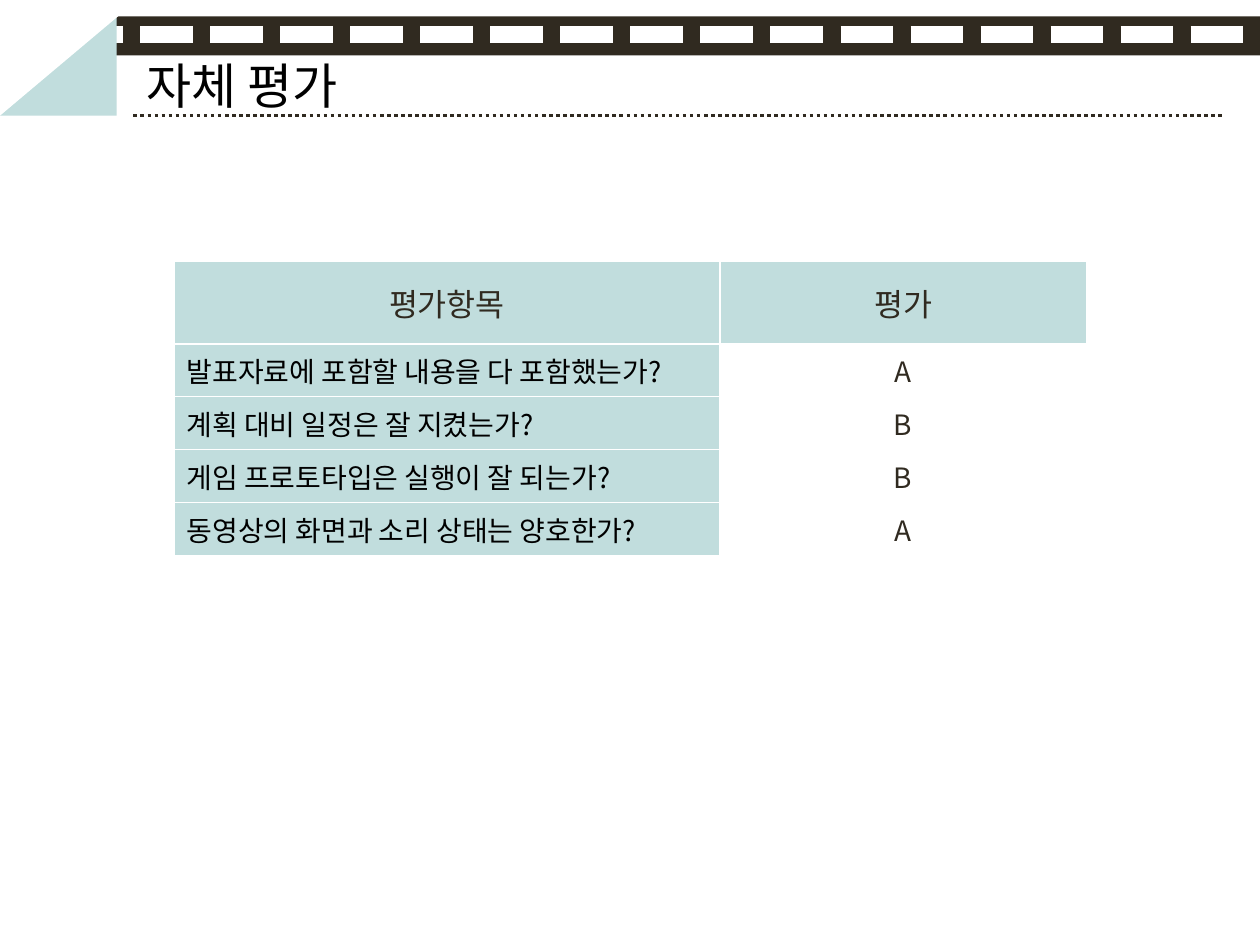
from lxml.etree import SubElement
from pptx import Presentation
from pptx.dml.color import RGBColor
from pptx.enum.dml import MSO_LINE
from pptx.enum.shapes import MSO_CONNECTOR, MSO_SHAPE
from pptx.enum.text import MSO_ANCHOR, PP_ALIGN
from pptx.oxml.ns import qn
from pptx.util import Cm, Pt

FONT = "Noto Sans CJK KR"
DARK, TEAL, WHITE, BLACK = "302A20", "C1DDDD", "FFFFFF", "000000"
RATINGS = [
    ("평가항목", "평가"),
    ("발표자료에 포함할 내용을 다 포함했는가?", "A"),
    ("계획 대비 일정은 잘 지켰는가?", "B"),
    ("게임 프로토타입은 실행이 잘 되는가?", "B"),
    ("동영상의 화면과 소리 상태는 양호한가?", "A"),
]


def paint(target, colour):
    target.solid()
    target.fore_color.rgb = RGBColor.from_string(colour)


def write(frame, text, size, colour, align):
    para = frame.paragraphs[0]
    para.alignment = align
    span = para.add_run()
    span.text = text
    span.font.size = Pt(size)
    span.font.name = FONT
    span.font.bold = False
    paint(span.font.fill, colour)
    SubElement(span.font._element, qn("a:ea"), typeface=FONT)


def add_title(page, text):
    box = page.shapes.title
    box.left, box.top, box.width, box.height = Cm(2.69), Cm(1.12), Cm(21.84), Cm(1.19)
    box.text_frame.vertical_anchor = MSO_ANCHOR.MIDDLE
    write(box.text_frame, text, 28, BLACK, PP_ALIGN.LEFT)


def add_block(page, kind, left, top, width, height, colour):
    shape = page.shapes.add_shape(kind, Cm(left), Cm(top), Cm(width), Cm(height))
    shape.shadow.inherit = False
    paint(shape.fill, colour)
    shape.line.fill.background()
    return shape


def add_corner(page, left, top, width, height, colour, turn=0):
    corner = add_block(page, MSO_SHAPE.ISOSCELES_TRIANGLE, left, top, width, height, colour)
    corner.adjustments[0] = 1
    corner.rotation = turn


def add_dashes(page, start, end, level, colour, weight, dash):
    line = page.shapes.add_connector(
        MSO_CONNECTOR.STRAIGHT, Cm(start), Cm(level), Cm(end), Cm(level))
    paint(line.line.fill, colour)
    line.line.width = Pt(weight)
    line.line.dash_style = dash
    SubElement(line._element.spPr, qn("a:effectLst"))


def add_ratings(page):
    widths, heights = [11, 7.39], [1.67] + [1.04] * 4
    table = page.shapes.add_table(
        len(heights), len(widths), Cm(3.51), Cm(5.26),
        Cm(sum(widths)), Cm(sum(heights))).table
    for column, width in zip(table.columns, widths):
        column.width = Cm(width)
    for row, height in zip(table.rows, heights):
        row.height = Cm(height)
    for r, texts in enumerate(RATINGS):
        for c, text in enumerate(texts):
            header, question = r == 0, r > 0 and c == 0
            cell = table.cell(r, c)
            cell.vertical_anchor = MSO_ANCHOR.MIDDLE
            paint(cell.fill, TEAL if header or question else WHITE)
            write(cell.text_frame, text, 18 if header else 16,
                  BLACK if question else DARK,
                  PP_ALIGN.LEFT if question else PP_ALIGN.CENTER)


def main():
    deck = Presentation()
    deck.slide_width, deck.slide_height = Cm(25.4), Cm(19.05)
    page = deck.slides.add_slide(deck.slide_layouts[5])
    add_title(page, "자체 평가")
    add_block(page, MSO_SHAPE.RECTANGLE, 0, 0.33, 25.4, 0.79, DARK)
    add_dashes(page, 0, 25.4, 0.7, WHITE, 10, MSO_LINE.SQUARE_DOT)
    add_corner(page, 0, 0.32, 2.35, 2.01, TEAL)
    add_corner(page, 0, 0.32, 2.39, 2.01, WHITE, 180)
    add_dashes(page, 2.69, 24.69, 2.33, DARK, 2, MSO_LINE.ROUND_DOT)
    add_ratings(page)
    deck.save("out.pptx")


main()
